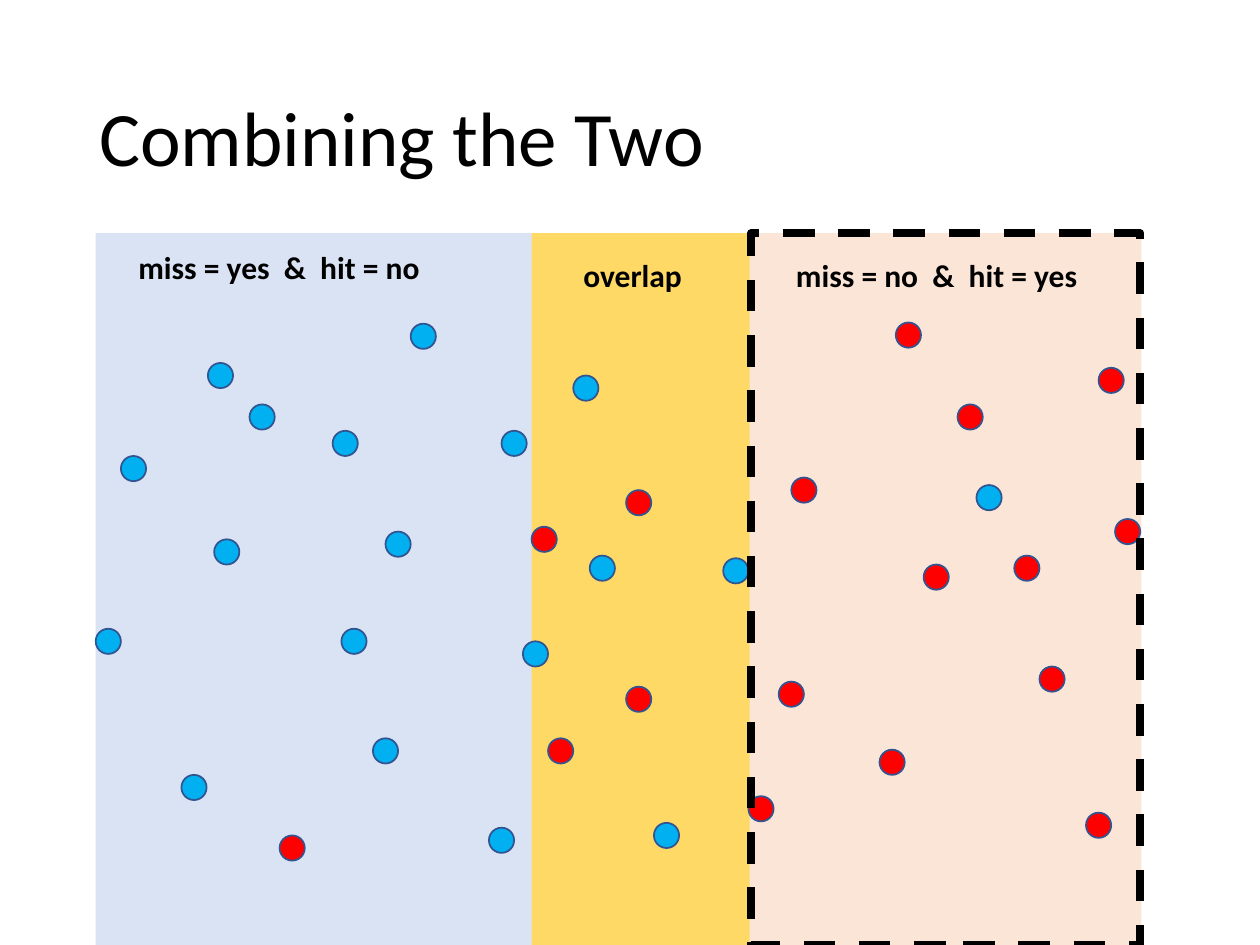
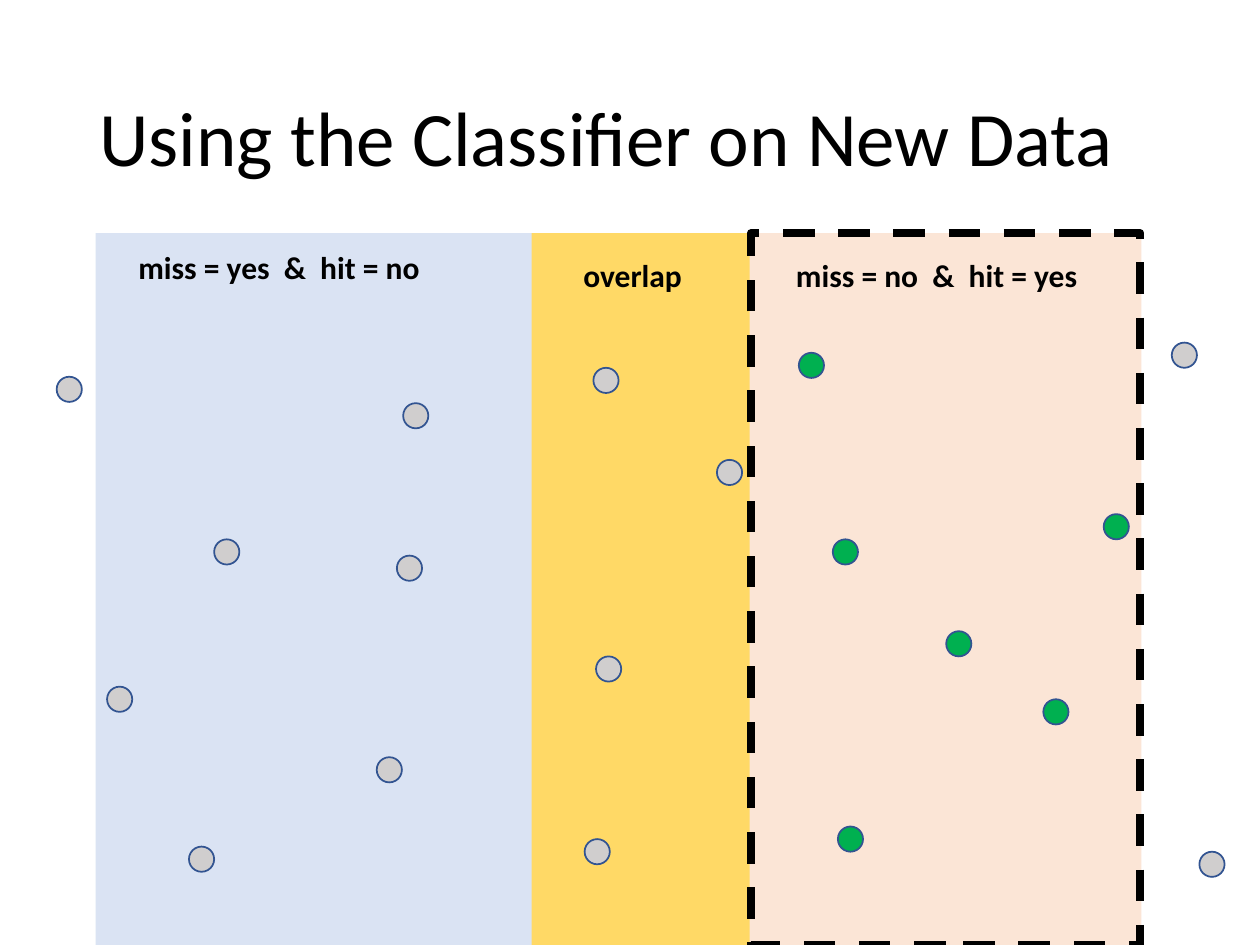
"""Builds two slides that show a three-band classifier with training and new data."""
from pptx import Presentation
from pptx import util as u
from pptx.dml.color import RGBColor
from pptx.enum import dml, shapes, text

FONT = "Calibri"
BLACK = RGBColor(0x00, 0x00, 0x00)
PEACH = RGBColor(0xFB, 0xE5, 0xD6)
PALE_BLUE = RGBColor(0xDA, 0xE3, 0xF3)
GOLD = RGBColor(0xFF, 0xD9, 0x66)
BLUE = RGBColor(0x00, 0xB0, 0xF0)
RED = RGBColor(0xFF, 0x00, 0x00)
GREY = RGBColor(0xD0, 0xCE, 0xCE)
GREEN = RGBColor(0x00, 0xB0, 0x50)
DOT_EDGE = RGBColor(0x32, 0x54, 0x91)

BAND_TOP, BAND_HEIGHT = 133.2, 406.8
BANDS = [
    (303.8, 348.5, PEACH),
    (54.7, 373, PALE_BLUE),
    (303.8, 124.6, GOLD),
]
HIT_FRAME = (429.1, BAND_TOP, 222.5, BAND_HEIGHT)
DOT_SIZE = 14.4

TITLE_BOX = (49.7, 28.8, 620.6, 104.4)
TITLE_FORMAT = {"size": u.Pt(44), "bold": False}
LABEL_FORMAT = {"size": u.Pt(18), "bold": True}
LABELS = [
    ("miss = yes  &  hit = no", (72, 138.2, 177.1, 28.8)),
    ("overlap", (326.2, 142.6, 71.3, 28.8)),
    ("miss = no  &  hit = yes", (447.8, 142.6, 177.1, 28.8)),
]

SLIDES = [
    ("Combining the Two", {
        BLUE: [
            (118.8, 207.4), (286.6, 246.2), (190.1, 246.2), (122.4, 308.2),
            (220.3, 303.8), (413.3, 319), (69.1, 260.6), (298.8, 366.5),
            (337, 317.5), (142.6, 231.1), (327.6, 214.6), (234.7, 185),
            (54.7, 359.3), (213.1, 421.9), (103.7, 442.8), (279.4, 473),
            (373.7, 470.2), (558, 277.2), (195.1, 359.3),
        ],
        RED: [
            (547.2, 231.1), (637.2, 296.6), (357.8, 280.1), (627.8, 210.2),
            (527.8, 322.6), (303.8, 301), (313.2, 421.9), (427.7, 455),
            (452.2, 272.9), (511.9, 184.3), (445, 389.5), (594, 380.9),
            (502.6, 428.4), (620.6, 464.4), (579.6, 317.5), (159.8, 477.4),
            (357.8, 392.4),
        ],
    }),
    ("Using the Classifier on New Data", {
        GREY: [
            (122.4, 308.2), (32.4, 215.3), (61.2, 392.4), (215.3, 432.7),
            (339.1, 210.2), (230.4, 230.4), (340.6, 375.1), (226.8, 317.5),
            (334.1, 479.5), (108, 483.8), (669.6, 195.8), (685.4, 486.7),
            (409.7, 262.8),
        ],
        GREEN: [
            (478.8, 472.3), (630.7, 293.8), (456.5, 201.6), (475.9, 308.2),
            (596.2, 399.6), (540.7, 360.7),
        ],
    }),
]


def points(box):
    return [u.Pt(length) for length in box]


def add_figure(slide, kind, box, fill=None, edge=None, width=1, dash=None):
    figure = slide.shapes.add_shape(kind, *points(box))
    figure.shadow.inherit = False
    if fill is None:
        figure.fill.background()
    else:
        figure.fill.solid()
        figure.fill.fore_color.rgb = fill
    if edge is None:
        figure.line.fill.background()
    else:
        figure.line.color.rgb = edge
        figure.line.width = u.Pt(width)
        figure.line.dash_style = dash


def add_words(slide, words, box, font_format, **frame_format):
    frame = slide.shapes.add_textbox(*points(box)).text_frame
    for name, value in frame_format.items():
        setattr(frame, name, value)
    paragraph = frame.paragraphs[0]
    run = paragraph.add_run()
    run.text = words
    for name, value in {"name": FONT, **font_format}.items():
        setattr(run.font, name, value)
    run.font.color.rgb = BLACK
    return paragraph


def add_classifier_slide(deck, title, dots):
    slide = deck.slides.add_slide(deck.slide_layouts[6])
    rectangle, oval = shapes.MSO_SHAPE.RECTANGLE, shapes.MSO_SHAPE.OVAL
    for left, width, colour in BANDS:
        add_figure(slide, rectangle, (left, BAND_TOP, width, BAND_HEIGHT), colour)
    heading = add_words(slide, title, TITLE_BOX, TITLE_FORMAT, word_wrap=True,
                        vertical_anchor=text.MSO_ANCHOR.MIDDLE)
    heading.line_spacing = 0.9
    for colour, places in dots.items():
        for left, top in places:
            add_figure(slide, oval, (left, top, DOT_SIZE, DOT_SIZE), colour, DOT_EDGE)
    add_figure(slide, rectangle, HIT_FRAME, edge=BLACK, width=4.5,
               dash=dml.MSO_LINE.DASH)
    for words, box in LABELS:
        add_words(slide, words, box, LABEL_FORMAT, word_wrap=False,
                  auto_size=text.MSO_AUTO_SIZE.SHAPE_TO_FIT_TEXT)


def main():
    deck = Presentation()
    deck.slide_width, deck.slide_height = u.Pt(720), u.Pt(540)
    for title, dots in SLIDES:
        add_classifier_slide(deck, title, dots)
    deck.save("out.pptx")


if __name__ == "__main__":
    main()
